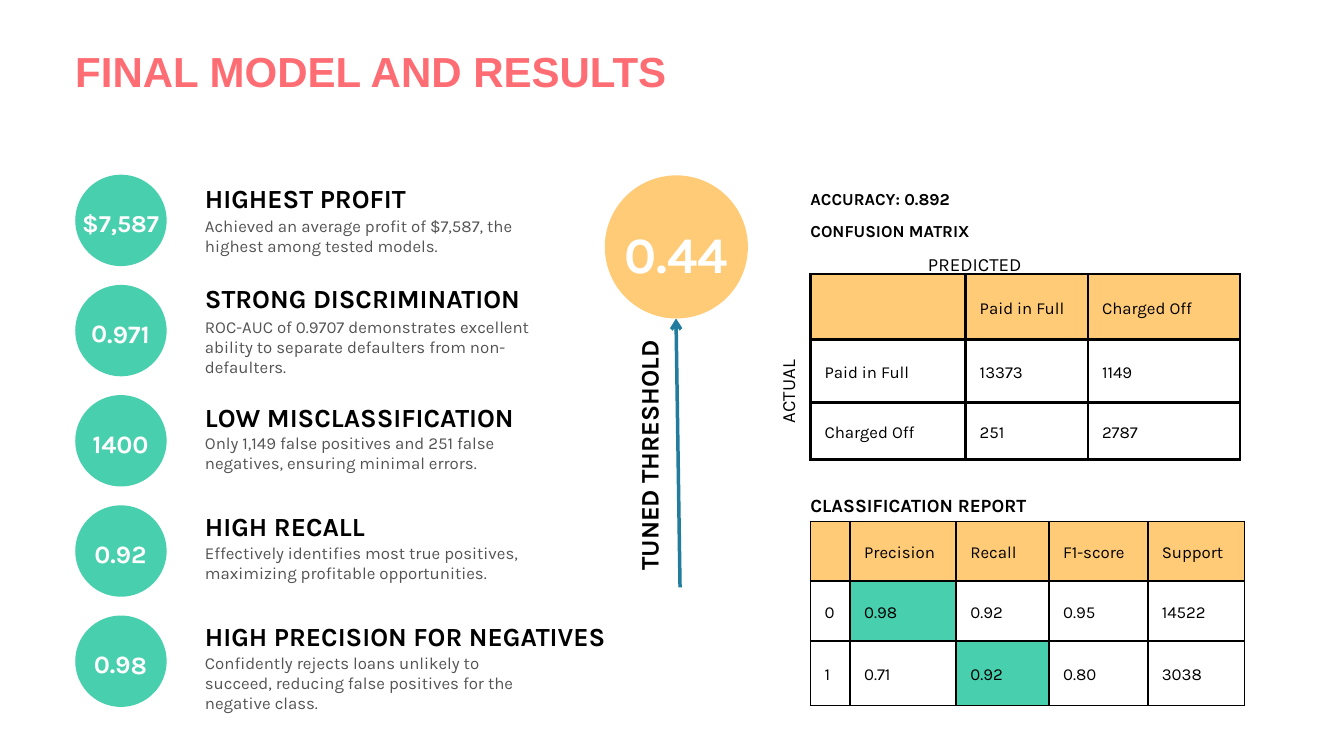
from typing import NamedTuple

from lxml import etree
from pptx import Presentation
from pptx.dml.color import RGBColor
from pptx.enum import shapes, text
from pptx.oxml import ns
from pptx.util import Inches, Pt

GREEN, YELLOW, CORAL, BLUE = "48CFAE", "FFCB77", "FE6D73", "227C9D"
BLACK, GREY, WHITE = "000000", "545454", "FFFFFF"

LEFT = 1.12
RESULT_TOP, RESULT_PITCH, CIRCLE_SIZE = 2.6, 1.64, 1.36
TEXT_LEFT = 3.05
TABLE_LEFT = 12.06
CELL_INSET = 0.21


class Style(NamedTuple):
    size: float
    spacing: float
    color: str = BLACK
    bold: bool = True
    centered: bool = False
    font: str = "Karla"


class Result(NamedTuple):
    value: str
    heading: str
    heading_top: float
    heading_width: float
    body: str
    body_top: float
    body_width: float = 5.06
    body_height: float = 0.58
    value_style: Style = Style(27, 37.8, WHITE, centered=True)
    rotation: float = 1


class Label(NamedTuple):
    content: str
    left: float
    top: float
    width: float
    height: float
    style: Style
    rotation: float = 0


class Grid(NamedTuple):
    top: float
    columns: list[float]
    rows: list[float]
    border: float
    values: list[list[str]]
    highlights: set[tuple[int, int]]


TITLE = Style(45, 44.5, CORAL, font="Arial")
HEADING = Style(28, 39.2)
BODY = Style(18, 21.6, GREY, bold=False)
CAPTION = Style(18, 25.2)
REPORT = Style(20, 28)
AXIS = Style(20, 28, bold=False)
CELL = Style(18, 25.2, bold=False)
THRESHOLD = Style(54.5, 76.3, WHITE, centered=True)
ARROW_LABEL = Style(27, 37.8, centered=True)

RESULTS = [
    Result("$7,587", "HIGHEST PROFIT", 2.63, 3.79,
           "Achieved an average profit of $7,587, the highest among tested models.",
           3.21, body_width=4.6, value_style=Style(26, 36.4, WHITE, centered=True), rotation=0),
    Result("0.971", "STRONG DISCRIMINATION", 4.13, 5.37,
           "ROC-AUC of 0.9707 demonstrates excellent ability to separate defaulters from non-defaulters.",
           4.71, body_height=0.88),
    Result("1400", "LOW MISCLASSIFICATION", 5.9, 5.06,
           "Only 1,149 false positives and 251 false negatives, ensuring minimal errors.", 6.44),
    Result("0.92", "HIGH RECALL", 7.52, 5.06,
           "Effectively identifies most true positives, maximizing profitable opportunities.", 8.07),
    Result("0.98", "HIGH PRECISION FOR NEGATIVES", 9.16, 6.16,
           "Confidently rejects loans unlikely to succeed, reducing false positives for the negative class.",
           9.71, body_height=0.88),
]

LABELS = [
    Label("FINAL MODEL AND RESULTS", LEFT, 0.81, 8.94, 0.66, TITLE),
    Label("0.44", 9.13, 3.16, 1.87, 1.02, THRESHOLD),
    Label("TUNED THRESHOLD", 7.68, 6.53, 3.84, 0.5, ARROW_LABEL, 270),
    Label("ACCURACY: 0.892", TABLE_LEFT, 2.76, 5.37, 0.34, CAPTION),
    Label("CONFUSION MATRIX", TABLE_LEFT, 3.23, 5.37, 0.34, CAPTION),
    Label("PREDICTED", 13.81, 3.7, 1.64, 0.38, AXIS),
    Label("ACTUAL", 10.87, 5.29, 1.64, 0.38, AXIS, 270),
    Label("CLASSIFICATION REPORT", TABLE_LEFT, 7.3, 5.37, 0.38, REPORT),
]

CONFUSION_MATRIX = Grid(
    4.08, [2.31, 1.82, 2.26], [0.97, 0.94, 0.85], 3,
    [["", "Paid in Full", "Charged Off"],
     ["Paid in Full", "13373", "1149"],
     ["Charged Off", "251", "2787"]],
    set())
CLASSIFICATION_REPORT = Grid(
    7.76, [0.59, 1.58, 1.38, 1.47, 1.44], [0.89, 0.89, 0.96], 2.25,
    [["", "Precision", "Recall", "F1-score", "Support"],
     ["0", "0.98", "0.92", "0.95", "14522"],
     ["1", "0.71", "0.92", "0.80", "3038"]],
    {(1, 1), (2, 2)})


def rgb(color: str) -> RGBColor:
    return RGBColor.from_string(color)


def set_all(target, values: dict) -> None:
    for name, value in values.items():
        setattr(target, name, value)


def write(frame, content: str, style: Style) -> None:
    paragraph = frame.paragraphs[0]
    alignment = text.PP_ALIGN.CENTER if style.centered else text.PP_ALIGN.LEFT
    set_all(paragraph, {"alignment": alignment, "line_spacing": Pt(style.spacing)})
    run = paragraph.add_run()
    run.text = content
    set_all(run.font, {"name": style.font, "size": Pt(style.size), "bold": style.bold})
    run.font.color.rgb = rgb(style.color)


def add_label(slide, label: Label) -> None:
    shape = slide.shapes.add_textbox(
        Inches(label.left), Inches(label.top), Inches(label.width), Inches(label.height))
    shape.rotation = label.rotation
    set_all(shape.text_frame, {
        "word_wrap": True, "margin_left": 0, "margin_right": 0, "margin_top": 0, "margin_bottom": 0})
    write(shape.text_frame, label.content, label.style)


def add_circle(slide, left: float, top: float, size: float, color: str) -> None:
    shape = slide.shapes.add_shape(
        shapes.MSO_SHAPE.OVAL, Inches(left), Inches(top), Inches(size), Inches(size))
    shape.shadow.inherit = False
    shape.fill.solid()
    shape.fill.fore_color.rgb = rgb(color)
    shape.line.fill.background()


def add_result(slide, result: Result, top: float) -> None:
    add_circle(slide, LEFT, top, CIRCLE_SIZE, GREEN)
    add_label(slide, Label(result.value, 0.99, top + 0.42, 1.61, 0.5,
                           result.value_style, result.rotation))
    add_label(slide, Label(result.heading, TEXT_LEFT, result.heading_top,
                           result.heading_width, 0.53, HEADING))
    add_label(slide, Label(result.body, TEXT_LEFT, result.body_top,
                           result.body_width, result.body_height, BODY))


def add_arrow(slide) -> None:
    connector = slide.shapes.add_connector(
        shapes.MSO_CONNECTOR.STRAIGHT, Inches(10.12), Inches(8.74), Inches(10.06), Inches(4.74))
    connector.line.width = Pt(3.75)
    connector.line.color.rgb = rgb(BLUE)
    etree.SubElement(connector.line._get_or_add_ln(), ns.qn("a:tailEnd"), type="arrow")
    etree.SubElement(connector._element.spPr, ns.qn("a:effectLst"))


def add_borders(cell, width: float) -> None:
    properties = cell._tc.get_or_add_tcPr()
    for side in ("lnL", "lnR", "lnT", "lnB"):
        line = etree.SubElement(properties, ns.qn(f"a:{side}"), w=str(Pt(width)))
        fill = etree.SubElement(line, ns.qn("a:solidFill"))
        etree.SubElement(fill, ns.qn("a:srgbClr"), val=BLACK)


def add_grid(slide, grid: Grid) -> None:
    table = slide.shapes.add_table(
        len(grid.rows), len(grid.columns), Inches(TABLE_LEFT), Inches(grid.top),
        Inches(sum(grid.columns)), Inches(sum(grid.rows))).table
    set_all(table, {"first_row": False, "horz_banding": False})
    for column, width in zip(table.columns, grid.columns):
        column.width = Inches(width)
    for row, height in zip(table.rows, grid.rows):
        row.height = Inches(height)
    inset = Inches(CELL_INSET)
    for i, values in enumerate(grid.values):
        for j, value in enumerate(values):
            cell = table.cell(i, j)
            set_all(cell, {
                "margin_left": inset, "margin_right": inset, "margin_top": inset,
                "margin_bottom": inset, "vertical_anchor": text.MSO_ANCHOR.MIDDLE})
            add_borders(cell, grid.border)
            if i == 0 or (i, j) in grid.highlights:
                cell.fill.solid()
                cell.fill.fore_color.rgb = rgb(YELLOW if i == 0 else GREEN)
            else:
                cell.fill.background()
            if value:
                write(cell.text_frame, value, CELL)


def main() -> None:
    presentation = Presentation()
    set_all(presentation, {"slide_width": Inches(20), "slide_height": Inches(11.25)})
    slide = presentation.slides.add_slide(presentation.slide_layouts[6])
    add_arrow(slide)
    add_circle(slide, 9, 2.61, 2.13, YELLOW)
    for index, result in enumerate(RESULTS):
        add_result(slide, result, RESULT_TOP + index * RESULT_PITCH)
    for grid in (CLASSIFICATION_REPORT, CONFUSION_MATRIX):
        add_grid(slide, grid)
    for label in LABELS:
        add_label(slide, label)
    presentation.save("out.pptx")


if __name__ == "__main__":
    main()
